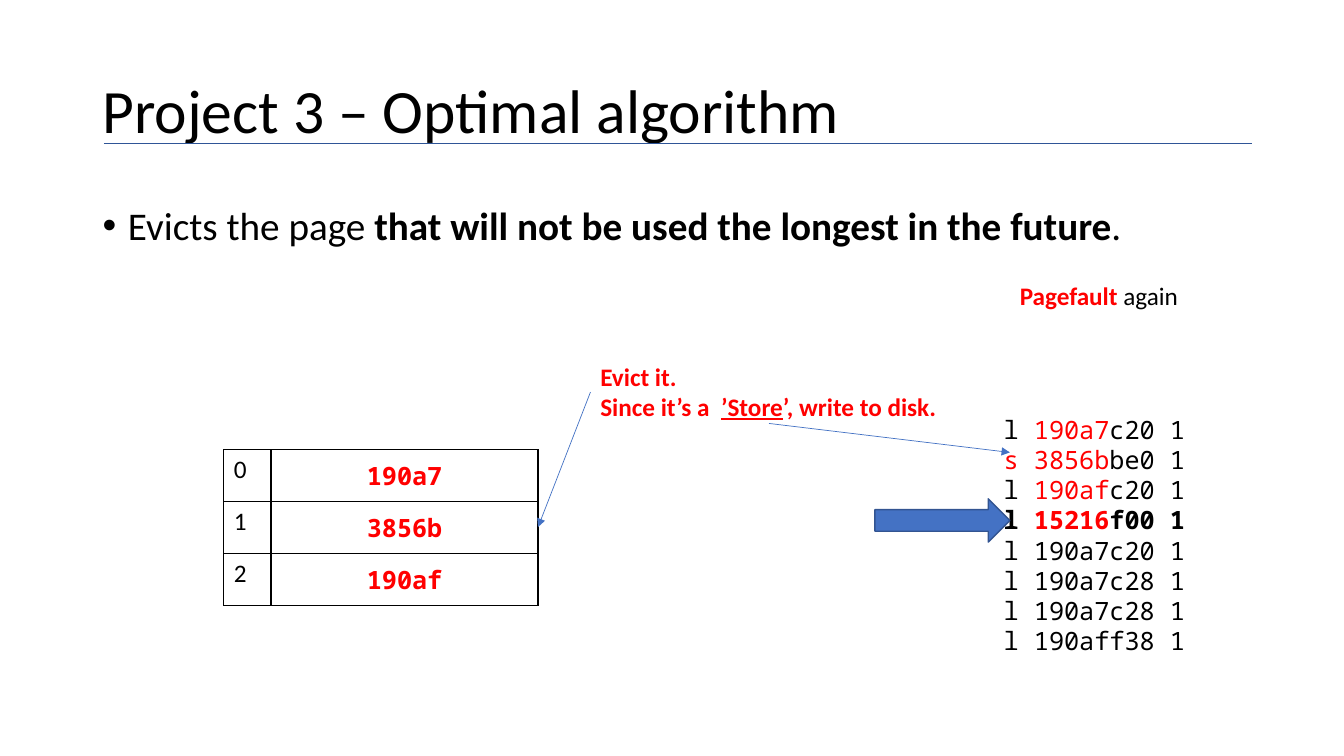
from lxml.etree import SubElement
from pptx import Presentation
from pptx.dml.color import RGBColor
from pptx.enum.shapes import MSO_CONNECTOR, MSO_SHAPE
from pptx.enum.text import MSO_ANCHOR, PP_ALIGN
from pptx.oxml import parse_xml
from pptx.oxml.ns import nsdecls, qn
from pptx.util import Cm, Pt

BLACK, RED, BLUE = "000000", "FF0000", "4472C4"
SANS, MONO = "Calibri", "Noto Sans Mono"

# Each paragraph is a list of runs: (text, colour, style), style "b" bold, "u" underlined
TITLE = [[("Project 3 – Optimal algorithm", BLACK, "")]]
RULE = [("Evicts the page ", BLACK, ""),
         ("that will not be used the longest in the future", BLACK, "b"),
         (".", BLACK, "")]
PAGE_FAULT = [[("Pagefault", RED, "b"), (" again", BLACK, "")]]
EVICTION = [[("Evict it. ", RED, "b")],
            [("Since it’s a  ", RED, "b"), ("’Store", RED, "bu"),
             ("’, write to disk.", RED, "b")]]
# Memory trace: black start, red middle, black end, style
TRACE = [("l ", "190a7", "c20 1", ""),
         ("", "s 3856b", "be0 1", ""),
         ("l ", "190af", "c20 1", ""),
         ("l ", "15216", "f00 1", "b"),
         ("l 190a7c20 1", "", "", ""),
         ("l 190a7c28 1", "", "", ""),
         ("l 190a7c28 1", "", "", ""),
         ("l 190aff38 1", "", "", "")]
FRAMES = ["190a7", "3856b", "190af"]
FRAME_COLUMNS = [1.19, 6.73]
FRAME_ROW = 1.31
# Start x, start y, end x, end y
EVICTION_ARROWS = [(14.88, 9.88, 13.56, 13.28), (19.38, 10.67, 25.45, 11.4)]


def color(hex_string):
    """Turn a hex string into a colour."""
    return RGBColor.from_string(hex_string)


def place(shape, left, top, width, height):
    """Move and size a shape, in centimetres."""
    shape.left, shape.top = Cm(left), Cm(top)
    shape.width, shape.height = Cm(width), Cm(height)


def write(text_frame, paragraphs, size, font=SANS, align=PP_ALIGN.LEFT):
    """Fill a text frame with paragraphs of formatted runs."""
    for index, runs in enumerate(paragraphs):
        paragraph = text_frame.add_paragraph() if index else text_frame.paragraphs[0]
        paragraph.alignment = align
        for text, run_color, style in runs:
            run = paragraph.add_run()
            run.text = text
            run.font.name, run.font.size = font, Pt(size)
            run.font.color.rgb = color(run_color)
            run.font.bold = "b" in style
            run.font.underline = "u" in style


def add_text(box, paragraphs, font=SANS, align=PP_ALIGN.LEFT):
    """Add a wrapping text box of 18 points."""
    shape = slide.shapes.add_textbox(*map(Cm, box))
    shape.text_frame.word_wrap = True
    write(shape.text_frame, paragraphs, 18, font, align)


def add_line(ends, line_color, arrow=False):
    """Add a thin straight line, with an arrowhead at its end if asked."""
    line = slide.shapes.add_connector(MSO_CONNECTOR.STRAIGHT, *map(Cm, ends))
    line.line.color.rgb = color(line_color)
    line.line.width = Pt(0.5)
    if arrow:
        SubElement(line.line._get_or_add_ln(), qn("a:tailEnd"), type="triangle")
    SubElement(line._element.spPr, qn("a:effectLst"))


def add_borders(cell):
    """Give a cell a thin black border on all sides."""
    properties = cell._tc.get_or_add_tcPr()
    for index, side in enumerate("LRTB"):
        properties.insert(index, parse_xml(
            f'<a:ln{side} {nsdecls("a")} w="12700"><a:solidFill>'
            f'<a:srgbClr val="{BLACK}"/></a:solidFill></a:ln{side}>'))


def add_frame_table(left, top):
    """Add the table of page frames and the pages they hold."""
    table = slide.shapes.add_table(
        len(FRAMES), len(FRAME_COLUMNS), Cm(left), Cm(top),
        Cm(sum(FRAME_COLUMNS)), Cm(FRAME_ROW * len(FRAMES))).table
    table.first_row = table.horz_banding = False
    for column, width in zip(table.columns, FRAME_COLUMNS):
        column.width = Cm(width)
    for index, page in enumerate(FRAMES):
        table.rows[index].height = Cm(FRAME_ROW)
        number_cell, page_cell = table.rows[index].cells
        write(number_cell.text_frame, [[(str(index), BLACK, "")]], 18)
        write(page_cell.text_frame, [[(page, RED, "b")]], 18, MONO, PP_ALIGN.CENTER)
        page_cell.vertical_anchor = MSO_ANCHOR.MIDDLE
        for cell in (number_cell, page_cell):
            cell.fill.background()
            add_borders(cell)


presentation = Presentation()
presentation.slide_width, presentation.slide_height = Cm(33.87), Cm(19.05)
slide = presentation.slides.add_slide(presentation.slide_layouts[1])

title, body = slide.placeholders
place(title, 2.33, 1.01, 29.21, 3.68)
title.text_frame.vertical_anchor = MSO_ANCHOR.MIDDLE
write(title.text_frame, TITLE, 44)
title.text_frame.paragraphs[0].line_spacing = 0.9
add_line((2.62, 3.61, 31.55, 3.61), "2F5597")

place(body, 2.33, 5.08, 29.21, 4.67)
write(body.text_frame, [RULE], 28)
rule_paragraph = body.text_frame.paragraphs[0]
rule_paragraph.line_spacing, rule_paragraph.space_before = 0.9, Pt(10)
rule_properties = rule_paragraph._p.get_or_add_pPr()
rule_properties.set("marL", str(Cm(0.64)))
rule_properties.set("indent", str(-Cm(0.64)))
SubElement(rule_properties, qn("a:buFont"), typeface="Arial")
SubElement(rule_properties, qn("a:buChar"), char="•")

trace_paragraphs = [
    [run for run in ((start, BLACK, style), (page, RED, style), (end, BLACK, style)) if run[0]]
    for start, page, end, style in TRACE]
add_text((22.4, 10.31, 10.36, 6.4), trace_paragraphs, MONO, PP_ALIGN.CENTER)
add_text((25.45, 6.93, 5.79, 1.02), PAGE_FAULT)
add_text((14.88, 8.97, 9.75, 1.8), EVICTION)

current_arrow = slide.shapes.add_shape(
    MSO_SHAPE.RIGHT_ARROW, Cm(22.05), Cm(12.57), Cm(3.4), Cm(1.09))
current_arrow.shadow.inherit = False
current_arrow.fill.solid()
current_arrow.fill.fore_color.rgb = color(BLUE)
current_arrow.line.color.rgb = color("325491")
current_arrow.line.width = Pt(1)

add_frame_table(5.64, 11.33)
for ends in EVICTION_ARROWS:
    add_line(ends, BLUE, arrow=True)

presentation.save("out.pptx")
